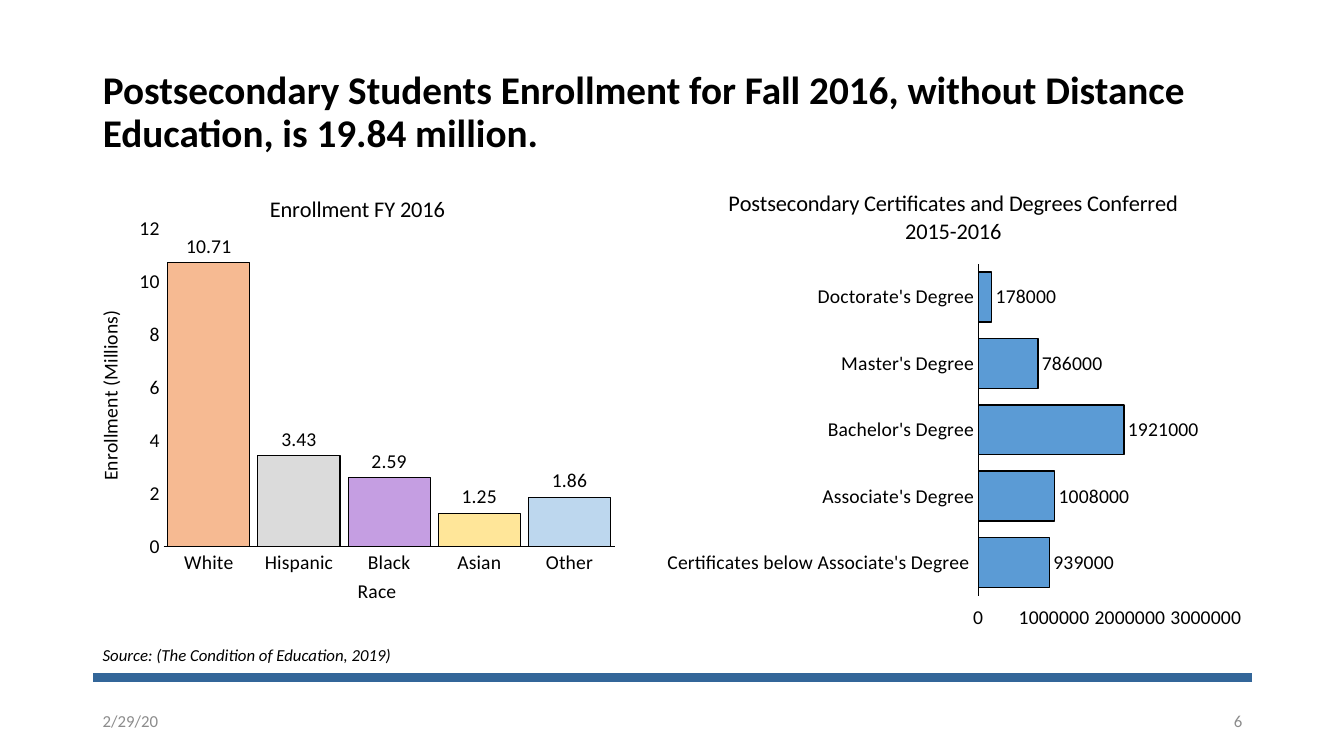
from lxml.etree import SubElement
from pptx import Presentation
from pptx.chart.data import CategoryChartData
from pptx.dml.color import RGBColor
from pptx.enum.chart import XL_CHART_TYPE, XL_LABEL_POSITION, XL_TICK_MARK
from pptx.enum.shapes import MSO_CONNECTOR
from pptx.enum.text import MSO_ANCHOR, PP_ALIGN
from pptx.oxml import parse_xml
from pptx.oxml.ns import nsdecls, qn
from pptx.util import Inches, Pt

WIDTH, HEIGHT = 13.33, 7.5
LEFT, CONTENT_WIDTH = 0.92, 11.5
FONT = "Calibri"
COLORS = {
    "text": "000000", "muted": "8C8C8C", "rule": "336699", "degrees": "5B9BD5",
    "White": "F6BA92", "Hispanic": "DBDBDB", "Black": "C59EE2",
    "Asian": "FFE699", "Other": "BDD7EE",
}
ENROLLMENT = {"White": 10.71, "Hispanic": 3.43, "Black": 2.59, "Asian": 1.25, "Other": 1.86}
DEGREES = {
    "Certificates below Associate's Degree ": 939000,
    "Associate's Degree": 1008000,
    "Bachelor's Degree": 1921000,
    "Master's Degree": 786000,
    "Doctorate's Degree": 178000,
}


def color(name):
    return RGBColor.from_string(COLORS[name])


def style_font(font, size, tone="text", bold=False, italic=False):
    font.name, font.size = FONT, Pt(size)
    font.bold, font.italic = bold, italic
    font.color.rgb = color(tone)


def add_run(paragraph, text, size, **style):
    run = paragraph.add_run()
    run.text = text
    style_font(run.font, size, **style)


def place_title(slide, box):
    title = slide.shapes.title
    title.left, title.top, title.width, title.height = map(Inches, box)
    title.text_frame.vertical_anchor = MSO_ANCHOR.MIDDLE
    paragraph = title.text_frame.paragraphs[0]
    paragraph.alignment = PP_ALIGN.LEFT
    paragraph.line_spacing = 0.9
    add_run(paragraph, "Postsecondary Students Enrollment for Fall 2016, without Distance "
            "Education, is 19.84 million.", 28, bold=True)


def add_note(slide, box, text, align=PP_ALIGN.LEFT, wrap=True, **style):
    frame = slide.shapes.add_textbox(*map(Inches, box)).text_frame
    frame.word_wrap = wrap
    frame.vertical_anchor = MSO_ANCHOR.MIDDLE
    frame.paragraphs[0].alignment = align
    add_run(frame.paragraphs[0], text, 12, **style)


def add_footer(slide, box):
    left, top, width, height = box
    note_width = 3
    add_note(slide, (left, top, note_width, height), "2/29/20", tone="muted")
    add_note(slide, (left + width - note_width, top, note_width, height), "6",
             align=PP_ALIGN.RIGHT, tone="muted")


def add_rule(slide, left, top, width):
    rule = slide.shapes.add_connector(MSO_CONNECTOR.STRAIGHT, Inches(left + width), Inches(top),
                                      Inches(left), Inches(top))
    rule.line.color.rgb = color("rule")
    rule.line.width = Pt(6)
    SubElement(rule._element.spPr, qn("a:effectLst"))


def set_plot_area(chart, shares):
    plot_area = chart._chartSpace.chart.plotArea
    for layout in plot_area.findall(qn("c:layout")):
        plot_area.remove(layout)
    values = "".join(f'<c:{key} val="{share}"/>' for key, share in zip("xywh", shares))
    plot_area.insert(0, parse_xml(
        f'<c:layout {nsdecls("c")}><c:manualLayout><c:layoutTarget val="inner"/>'
        f'<c:xMode val="edge"/><c:yMode val="edge"/>{values}</c:manualLayout></c:layout>'))


def add_bars(slide, box, kind, name, title, data, gap, plot_shares, maximum, step):
    chart_data = CategoryChartData()
    chart_data.categories = list(data)
    chart_data.add_series(name, list(data.values()))
    chart = slide.shapes.add_chart(kind, *map(Inches, box), chart_data).chart
    chart.has_legend = False
    style_font(chart.font, 14)
    chart.has_title = True
    add_run(chart.chart_title.text_frame.paragraphs[0], title, 16)
    chart.chart_title.include_in_layout = False
    set_plot_area(chart, plot_shares)

    categories, values = chart.category_axis, chart.value_axis
    for axis in (categories, values):
        axis.has_major_gridlines = False
        axis.major_tick_mark = XL_TICK_MARK.NONE
        style_font(axis.tick_labels.font, 14)
    categories.format.line.color.rgb = color("text")
    categories.format.line.width = Pt(0.75)
    values.format.line.fill.background()
    values.minimum_scale, values.maximum_scale, values.major_unit = 0, maximum, step

    plot = chart.plots[0]
    plot.gap_width = gap
    plot.vary_by_categories = False
    plot.has_data_labels = True
    plot.data_labels.show_value = True
    plot.data_labels.position = XL_LABEL_POSITION.OUTSIDE_END
    style_font(plot.data_labels.font, 14)
    return chart


def paint(bar, tone, width):
    bar.format.fill.solid()
    bar.format.fill.fore_color.rgb = color(tone)
    bar.format.line.color.rgb = color("text")
    bar.format.line.width = Pt(width)


def add_enrollment(slide, box):
    chart = add_bars(slide, box, XL_CHART_TYPE.COLUMN_CLUSTERED, "Enrollment FY 2016",
                     "Enrollment FY 2016", ENROLLMENT, 10, (0.134, 0.123, 0.852, 0.731), 12, 2)
    chart.plots[0].overlap = 36
    for axis, text in ((chart.category_axis, "Race"),
                       (chart.value_axis, "Enrollment (Millions)")):
        add_run(axis.axis_title.text_frame.paragraphs[0], text, 14)
    for index, race in enumerate(ENROLLMENT):
        paint(chart.series[0].points[index], race, 0.75)


def add_degrees(slide, box):
    chart = add_bars(slide, box, XL_CHART_TYPE.BAR_CLUSTERED, "Series 1",
                     "Postsecondary Certificates and Degrees Conferred 2015-2016",
                     DEGREES, 33, (0.542, 0.201, 0.382, 0.705), 3000000, 1000000)
    chart.value_axis.major_tick_mark = XL_TICK_MARK.OUTSIDE
    paint(chart.series[0], "degrees", 1)


def main():
    deck = Presentation()
    deck.slide_width, deck.slide_height = Inches(WIDTH), Inches(HEIGHT)
    slide = deck.slides.add_slide(deck.slide_layouts[5])
    place_title(slide, (LEFT, 0.4, CONTENT_WIDTH, 1.45))
    add_footer(slide, (LEFT, 6.95, CONTENT_WIDTH, 0.4))
    add_note(slide, (LEFT, 6.35, 3.16, 0.3), "Source: (The Condition of Education, 2019)",
             wrap=False, italic=True)
    add_rule(slide, LEFT, 6.72, CONTENT_WIDTH)
    add_enrollment(slide, (LEFT, 1.74, 5.25, 4.31))
    add_degrees(slide, (6.5, 1.68, 5.91, 4.67))
    deck.save("out.pptx")


if __name__ == "__main__":
    main()
